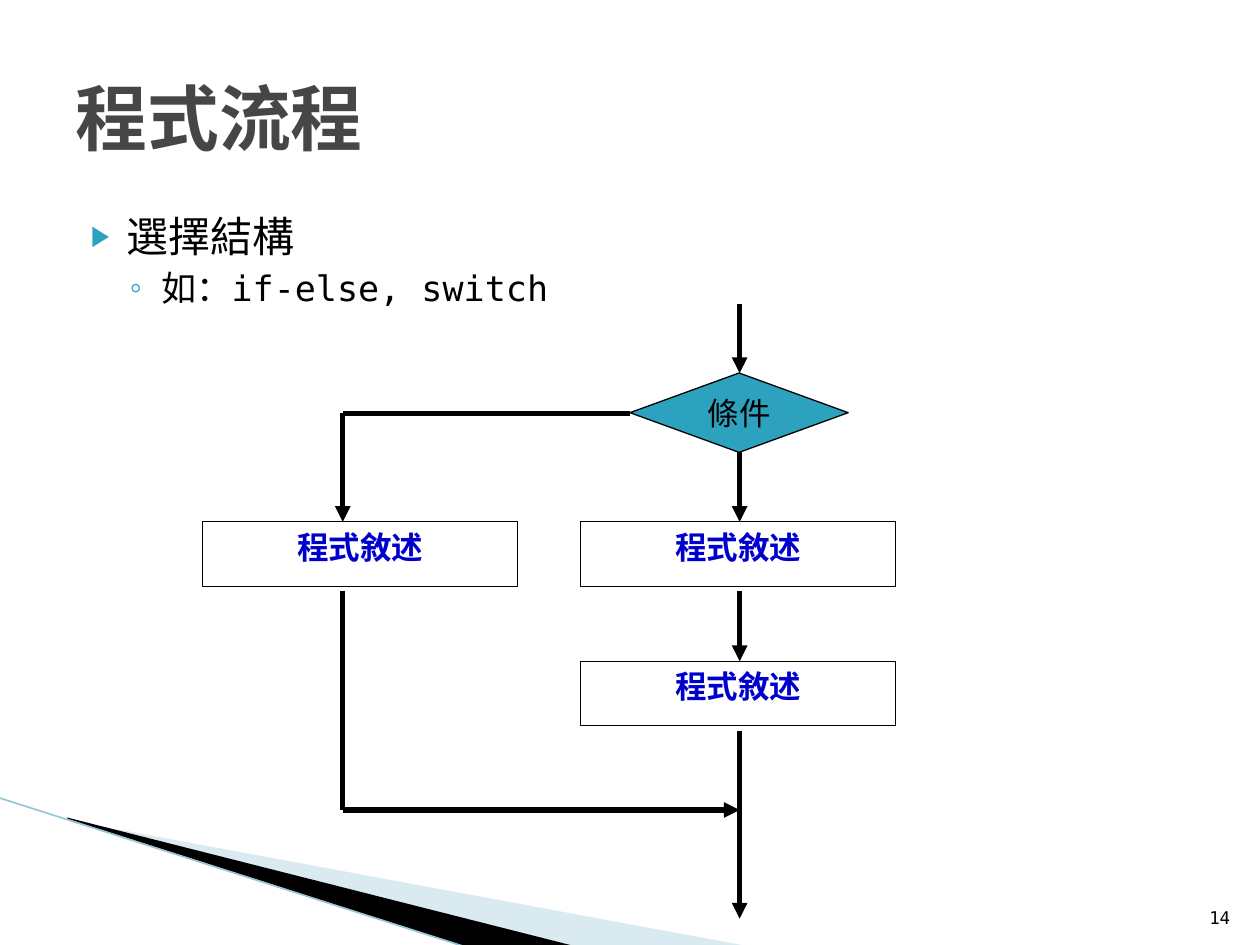
from dataclasses import dataclass
from typing import Any
from lxml.etree import SubElement
from pptx import Presentation
from pptx.dml.color import RGBColor
from pptx.enum.shapes import MSO_CONNECTOR, MSO_SHAPE
from pptx.enum.text import MSO_ANCHOR, MSO_AUTO_SIZE, PP_ALIGN
from pptx.oxml.ns import qn
from pptx.util import Cm, Pt


@dataclass(frozen=True)
class Theme:
    font: str = "DejaVu Sans Mono"
    ink: str = "000000"
    gray: str = "464646"
    teal: str = "2DA2BF"
    blue: str = "0000CC"
    pale: str = "A0CBDC"
    edge: str = "97C5D8"
    title: float = 41
    head: float = 24
    item: float = 20
    label: float = 18
    small: float = 10
    thin: float = 0.75
    thick: float = 3


@dataclass
class Deck:
    theme: Theme
    slide: Any

    def place(self, shape, left, top, width, height):
        shape.left, shape.top = Cm(left), Cm(top)
        shape.width, shape.height = Cm(width), Cm(height)

    def add_text(self, para, text, size, color, bold=False):
        run = para.add_run()
        run.text = text
        font = run.font
        font.name, font.size, font.bold = self.theme.font, Pt(size), bold
        font.color.rgb = RGBColor.from_string(color)

    def title(self, text, *area):
        shape = self.slide.shapes.title
        self.place(shape, *area)
        frame = shape.text_frame
        frame.auto_size = MSO_AUTO_SIZE.NONE
        frame.vertical_anchor = MSO_ANCHOR.MIDDLE
        para = frame.paragraphs[0]
        para.alignment = PP_ALIGN.LEFT
        self.add_text(para, text, self.theme.title, self.theme.gray, True)

    def items(self, rows, *area):
        shape = self.slide.placeholders[1]
        self.place(shape, *area)
        frame = shape.text_frame
        frame.auto_size = MSO_AUTO_SIZE.NONE
        for level, (text, size, mark, scale, left, hang, gap) in enumerate(rows):
            para = frame.add_paragraph() if level else frame.paragraphs[0]
            para.level = level
            para.space_before = Pt(gap)
            self.bullet(para, mark, scale, left, hang)
            self.add_text(para, text, size, self.theme.ink)

    def bullet(self, para, mark, scale, left, hang):
        props = para._p.get_or_add_pPr()
        props.set("marL", str(Cm(left)))
        props.set("indent", str(Cm(-hang)))
        tint = SubElement(props, qn("a:buClr"))
        SubElement(tint, qn("a:srgbClr"), val=self.theme.teal)
        SubElement(props, qn("a:buSzPct"), val=str(scale * 1000))
        SubElement(props, qn("a:buChar"), char=mark)

    def note(self, text, *area):
        box = self.slide.shapes.add_textbox(*map(Cm, area))
        frame = box.text_frame
        frame.word_wrap = True
        frame.vertical_anchor = MSO_ANCHOR.BOTTOM
        para = frame.paragraphs[0]
        para.alignment = PP_ALIGN.RIGHT
        self.add_text(para, text, self.theme.small, self.theme.ink)

    def shape(self, kind, text, color, area, fill=None):
        shape = self.slide.shapes.add_shape(kind, *map(Cm, area))
        shape.shadow.inherit = False
        shape.line.color.rgb = RGBColor.from_string(self.theme.ink)
        shape.line.width = Pt(self.theme.thin)
        frame = shape.text_frame
        para = frame.paragraphs[0]
        para.alignment = PP_ALIGN.CENTER
        self.add_text(para, text, self.theme.label, color, fill is None)
        if fill:
            shape.fill.solid()
            shape.fill.fore_color.rgb = RGBColor.from_string(fill)
        else:
            shape.fill.background()
        return frame

    def step(self, text, left, top):
        area = (left, top, 6.35, 1.3)
        frame = self.shape(MSO_SHAPE.RECTANGLE, text, self.theme.blue, area)
        frame.word_wrap = True
        frame.vertical_anchor = MSO_ANCHOR.TOP
        frame.auto_size = MSO_AUTO_SIZE.SHAPE_TO_FIT_TEXT

    def choice(self, text, *area):
        frame = self.shape(MSO_SHAPE.FLOWCHART_DECISION, text,
                           self.theme.ink, area, self.theme.teal)
        frame.word_wrap = False
        frame.vertical_anchor = MSO_ANCHOR.MIDDLE

    def line(self, ends, color, width, arrow=False):
        link = self.slide.shapes.add_connector(
            MSO_CONNECTOR.STRAIGHT, *map(Cm, ends))
        link.line.color.rgb = RGBColor.from_string(color)
        link.line.width = Pt(width)
        props = link._element.spPr
        if arrow:
            SubElement(props.find(qn("a:ln")), qn("a:tailEnd"), type="triangle")
        SubElement(props, qn("a:effectLst"))

    def flow(self, *ends, arrow=True):
        self.line(ends, self.theme.ink, self.theme.thick, arrow)

    def wedge(self, points, color, alpha=100):
        start, *rest = [(Cm(x), Cm(y)) for x, y in points]
        form = self.slide.shapes.build_freeform(*start)
        form.add_line_segments(rest, close=True)
        shape = form.convert_to_shape()
        shape.shadow.inherit = False
        shape.line.fill.background()
        shape.fill.solid()
        shape.fill.fore_color.rgb = RGBColor.from_string(color)
        if alpha < 100:
            tint = next(shape._element.spPr.iter(qn("a:srgbClr")))
            SubElement(tint, qn("a:alpha"), val=str(alpha * 1000))


theme = Theme()
show = Presentation()
show.slide_width, show.slide_height = Cm(25.4), Cm(19.05)
deck = Deck(theme, show.slides.add_slide(show.slide_layouts[1]))

deck.wedge([(1.4, 16.54), (15.11, 19.08), (11.58, 19.08), (1.4, 16.51)],
           theme.pale, 40)
deck.wedge([(1.35, 16.48), (11.61, 19.08), (9.45, 19.1), (1.37, 16.51)],
           theme.ink)
deck.line((-0.03, 16.08, 9.42, 19.1), theme.edge, 0.95)

deck.title("程式流程", 1.27, 0.76, 22.86, 3.18)
deck.items([
    ("選擇結構", theme.head, "▶", 68, 1.02, 0.71, 4),
    ("如：if-else, switch", theme.item, "◦", 100, 1.73, 0.64, 3.2),
], 1.27, 4.11, 22.86, 2.41)
deck.note("14", 24.03, 17.81, 1.02, 1.02)

main, side = 14.91, 6.91
first, second = 10.52, 13.33
mid, join = 8.33, 16.33
for left, top in [(11.71, first), (11.71, second), (4.09, first)]:
    deck.step("程式敘述", left, top)
deck.choice("條件", 12.7, 7.52, 4.4, 1.6)

for top, end in [(6.12, 7.52), (9.12, first), (11.91, second), (14.73, 18.52)]:
    deck.flow(main, top, main, end)
deck.flow(side, mid, side, first)
deck.flow(12.7, mid, side, mid, arrow=False)
deck.flow(side, 11.91, side, join, arrow=False)
deck.flow(side, join, main, join)

show.save("out.pptx")
